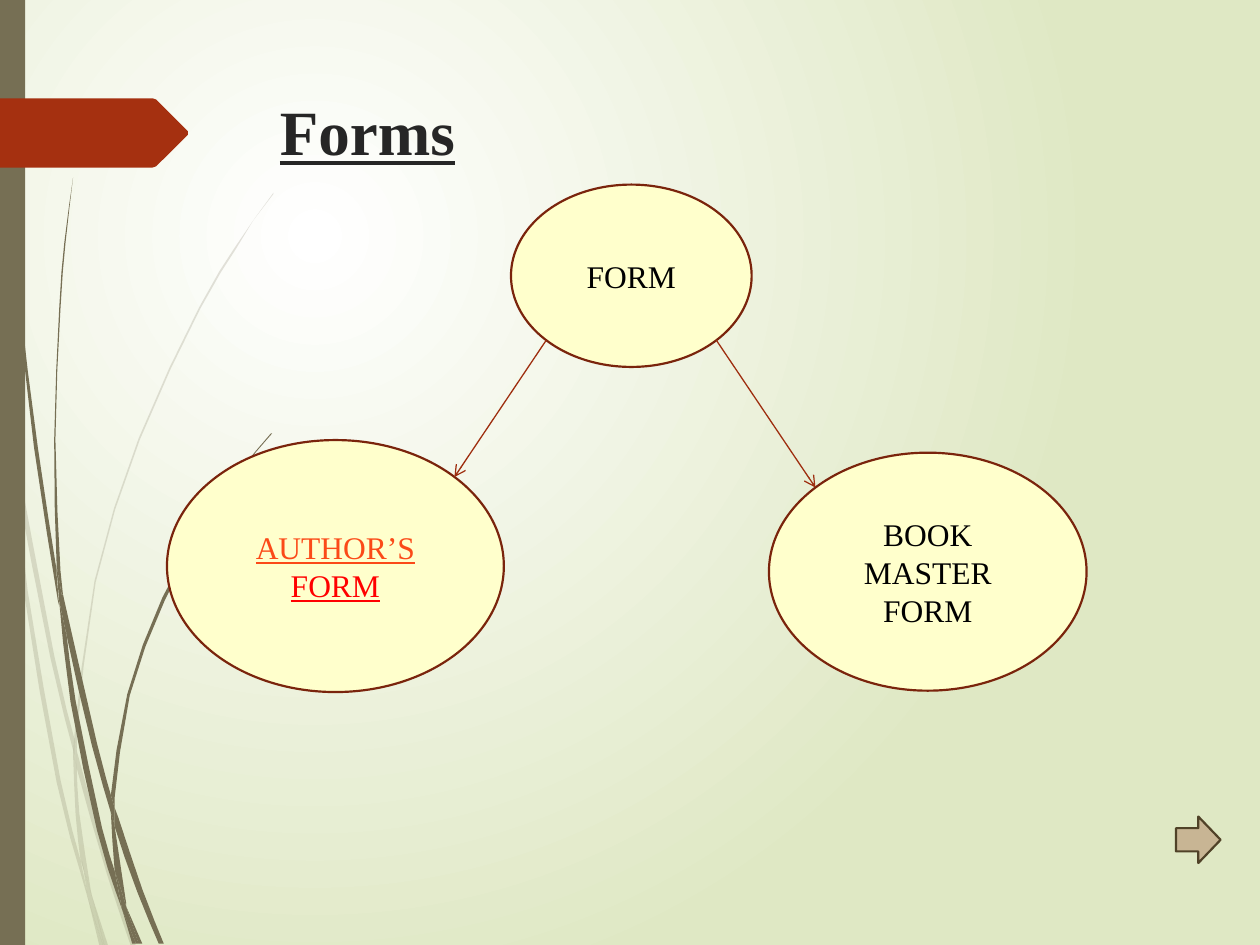
from math import sqrt

from lxml.etree import SubElement
from pptx import Presentation
from pptx.dml.color import RGBColor
from pptx.enum.shapes import MSO_CONNECTOR, MSO_SHAPE
from pptx.enum.text import MSO_ANCHOR, PP_ALIGN
from pptx.oxml.ns import qn
from pptx.util import Pt

FONT = "Times New Roman"
WHITE = RGBColor(0xFF, 0xFF, 0xFF)
BLACK = RGBColor(0, 0, 0)
SAGE = RGBColor(0xDF, 0xE8, 0xC4)
OLIVE = RGBColor(0x76, 0x6F, 0x54)
RUST = RGBColor(0xA5, 0x30, 0x10)
INK = RGBColor(0x26, 0x26, 0x26)
CREAM = RGBColor(0xFF, 0xFF, 0xCC)
RIM = RGBColor(0x7A, 0x24, 0x0C)
ARROW = RGBColor(0x9E, 0x2E, 0x0F)
TAN = RGBColor(0xC8, 0xB5, 0x94)
BROWN = RGBColor(0x50, 0x42, 0x28)
ORANGE = RGBColor(0xFB, 0x4A, 0x18)
RED = RGBColor(0xFF, 0, 0)

UNIT = 0.72  # points to one step of the outlines below
LONG = 30    # steps down from which a stretch of a blade is bent

# Each blade of grass: one edge, a bar, then the edge that leads back.
PALE = [
    "8,350 6,322 0,282 | 0,299 7,344 8,350",
    "10,345 12,376 40,522 59,599 | 59,586 43,520 10,345",
    "61,596 61,610 85,694 104,751 | 108,751 88,692 64,607 61,596",
    "73,711 83,751 | 86,751 73,711",
    "8,350 12,376 22,469 48,619 64,683 69,707 70,714 | 70,714 64,693 45,621 19,470 8,350",
    "58,599 60,646 64,683 67,692 73,711 | 72,706 63,646 61,610 61,608 58,599",
    "61,596 61,584 76,462 111,349 159,245 187,198 201,175 217,154"
    " | 217,153 201,175 186,197 158,244 110,348 75,461 59,584 59,586",
    "70,714 79,751 | 82,751 70,714",
    "61,608 61,610 61,596 | 59,586 58,599 61,608",
    "65,683 69,707 70,714 82,751 | 83,751 73,711 67,692 65,683",
]
DARK = [
    "2,0 3,48 5,110 14,233 27,355 46,477 47,481"
    " | 47,481 45,457 45,453 30,355 15,232 6,109 4,48 3,0",
    "50,472 53,505 73,592 88,645 | 88,633 88,631 77,590 50,472",
    "91,641 91,656 109,708 126,749 | 130,749 113,706 94,649 91,641",
    "47,477 56,557 77,659 92,708 97,722 | 97,722 96,717 91,691 81,657 60,556 53,505 47,477",
    "50,472 48,453 44,349 48,245 52,193 58,141"
    " | 58,141 51,193 47,245 43,349 45,449 49,472",
    "100,719 110,749 | 113,749 100,719",
    "47,477 53,505 50,472 | 49,472 45,449 45,453 47,477",
    "91,641 91,633 103,552 131,476 169,406 191,374 203,359 216,344"
    " | 215,344 203,358 191,373 168,405 129,474 101,551 88,631 91,641",
    "97,722 105,749 | 108,749 97,722",
    "88,645 91,691 96,706 100,719 | 100,716 91,656 90,651 88,645",
    "88,645 90,651 91,656 91,641 | 88,631 88,633 88,645",
    "91,691 96,717 97,722 108,749 | 110,749 100,719 96,706 91,691",
]
TAG = "0,0 121,0 124,1 149,26 149,29 124,54 121,55 0,55"


def points(text):
    return [tuple(int(n) for n in pair.split(",")) for pair in text.split()]


def bend(edge):
    """Add a point on the curve halfway along each long stretch."""
    ends = [edge[0]] + edge + [edge[-1]]
    out = [edge[0]]
    for a, b, c, d in zip(ends, ends[1:], ends[2:], ends[3:]):
        if abs(c[1] - b[1]) > LONG:
            out.append(tuple((9 * (q + r) - p - s) / 16
                             for p, q, r, s in zip(a, b, c, d)))
        out.append(c)
    return out


def paint(shape, fill, line=None):
    shape.shadow.inherit = False
    shape.fill.solid()
    shape.fill.fore_color.rgb = fill
    if line is None:
        shape.line.fill.background()
    else:
        shape.line.color.rgb = line
        shape.line.width = Pt(1.25)


def outline(shapes, x, y, spots, fill):
    spots = [(Pt(px * UNIT), Pt(py * UNIT)) for px, py in spots]
    pen = shapes.build_freeform(*spots[0], scale=1.0)
    pen.add_line_segments(spots[1:], close=True)
    shape = pen.convert_to_shape(Pt(x), Pt(y))
    paint(shape, fill)
    return shape


def grass(slide, x, y, blades, alpha=100):
    group = slide.shapes.add_group_shape()
    for blade in blades:
        there, back = (bend(points(edge)) for edge in blade.split("|"))
        if there[-1] == back[0]:
            back = back[1:]
        shape = outline(group.shapes, x, y, there + back, OLIVE)
        if alpha < 100:
            tint = shape._element.spPr.find(qn("a:solidFill"))[0]
            SubElement(tint, qn("a:alpha"), val=str(alpha * 1000))


def backdrop(slide, x, y, w, h):
    fill = slide.background.fill
    fill.gradient()
    for stop, place, tone in zip(fill.gradient_stops, (0, 1), (WHITE, SAGE)):
        stop.position = place
        stop.color.rgb = tone
    grad = slide._element.find(".//" + qn("a:gradFill"))
    grad.remove(grad.find(qn("a:lin")))
    glow = SubElement(grad, qn("a:path"), path="circle")
    SubElement(glow, qn("a:fillToRect"), l="50000", t="50000", r="100000", b="100000")

    grass(slide, x, y, PALE, 20)
    grass(slide, x, y, DARK)
    bar = slide.shapes.add_shape(
        MSO_SHAPE.RECTANGLE, Pt(x), Pt(y), Pt(w / 50), Pt(h))
    paint(bar, OLIVE)
    outline(slide.shapes, x, y + 56.16, points(TAG), RUST)


def style(run, size, tone, under=False, bold=False):
    font = run.font
    font.name, font.size, font.color.rgb = FONT, Pt(size), tone
    font.underline, font.bold = under, bold


def title(slide, x, y, w, h):
    frame = slide.shapes.add_textbox(Pt(x), Pt(y), Pt(w), Pt(h)).text_frame
    frame.word_wrap = True
    frame.text = "Forms"
    style(frame.paragraphs[0].runs[0], 36, INK, True, True)


def node(slide, box, parts):
    """Draw an oval whose text is a list of (words, colour, underline)."""
    oval = slide.shapes.add_shape(MSO_SHAPE.OVAL, *map(Pt, box))
    paint(oval, CREAM, RIM)
    frame = oval.text_frame
    frame.word_wrap = True
    frame.vertical_anchor = MSO_ANCHOR.MIDDLE
    para = frame.paragraphs[0]
    para.alignment = PP_ALIGN.CENTER
    for words, tone, under in parts:
        run = para.add_run()
        run.text = words
        style(run, 18, tone, under)


def rim(box, right, down):
    """Find the diagonal point of an oval; right and down are -1 or 1."""
    x, y, w, h = box
    return (Pt(x + w / 2 * (1 + right / sqrt(2))),
            Pt(y + h / 2 * (1 + down / sqrt(2))))


def link(slide, top, low, side):
    line = slide.shapes.add_connector(
        MSO_CONNECTOR.STRAIGHT, *rim(top, side, 1), *rim(low, -side, -1))
    line.line.color.rgb = ARROW
    line.line.width = Pt(0.75)
    SubElement(line.line._get_or_add_ln(), qn("a:tailEnd"), type="arrow")
    SubElement(line._element.spPr, qn("a:effectLst"))


def tree(slide, x, y):
    root = (x + 196.6, y, 137.5, 104.2)
    left = (x, y + 146, 192.5, 144)
    right = (x + 344, y + 153.2, 181.5, 136)
    node(slide, root, [("FORM", BLACK, False)])
    node(slide, left, [("AUTHOR’S", ORANGE, True), (" ", RED, False), ("FORM", RED, True)])
    node(slide, right, [("BOOK MASTER FORM", BLACK, False)])
    link(slide, root, left, -1)
    link(slide, root, right, 1)


def main():
    deck = Presentation()
    deck.slide_width, deck.slide_height = Pt(720), Pt(540)
    slide = deck.slides.add_slide(deck.slide_layouts[6])
    backdrop(slide, 0, 0, 720, 540)
    title(slide, 152.9, 49.5, 519, 100.8)
    pointer = slide.shapes.add_shape(
        MSO_SHAPE.RIGHT_ARROW, Pt(672), Pt(466.6), Pt(25.5), Pt(26.6))
    paint(pointer, TAN, BROWN)
    tree(slide, 95.4, 105.5)
    deck.save("out.pptx")


if __name__ == "__main__":
    main()
